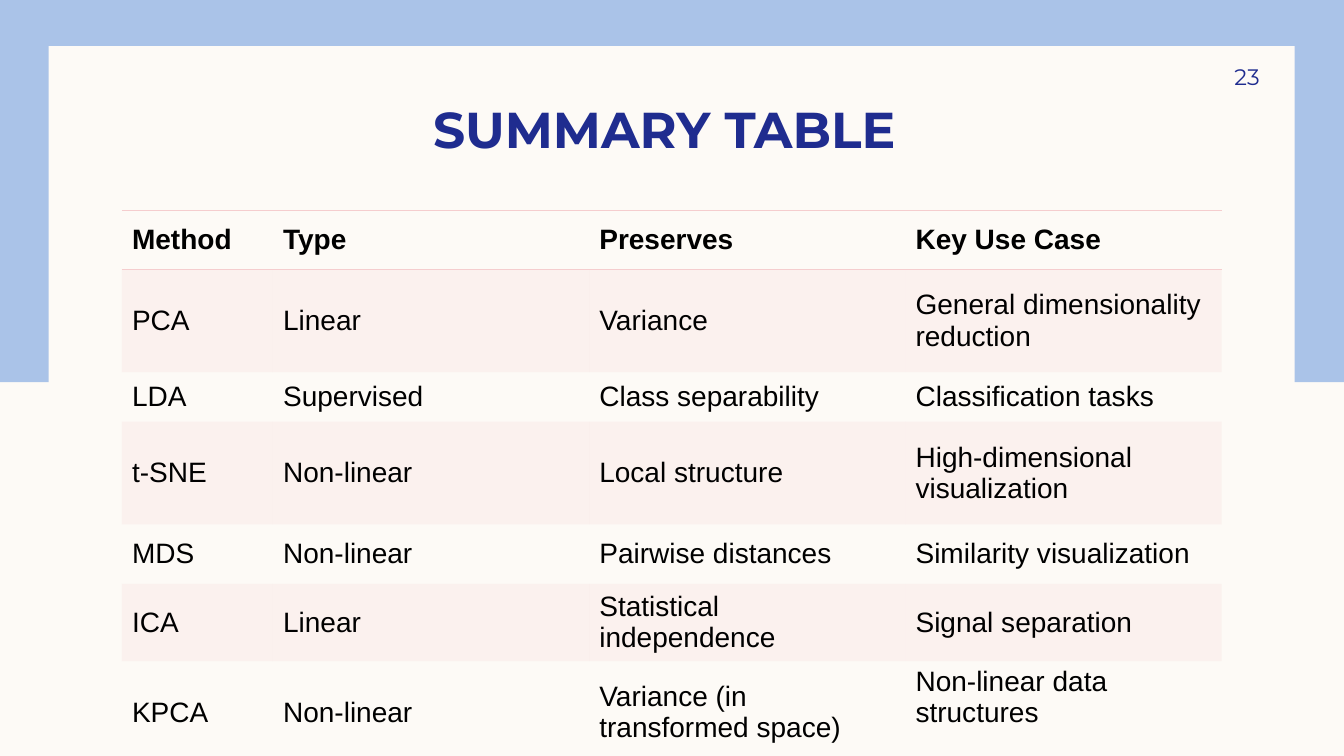
import pptx
import pptx.util
import pptx.dml.color
import pptx.enum.shapes
import pptx.enum.text
from lxml import etree
from pptx.oxml.ns import qn

Pt = pptx.util.Pt
Anchor = pptx.enum.text.MSO_ANCHOR
Align = pptx.enum.text.PP_ALIGN

# Content
TITLE = "SUMMARY TABLE"
PAGE_NUMBER = "23"
ROWS = [
    ("Method", "Type", "Preserves", "Key Use Case"),
    ("PCA", "Linear", "Variance", "General dimensionality reduction"),
    ("LDA", "Supervised", "Class separability", "Classification tasks"),
    ("t-SNE", "Non-linear", "Local structure", "High-dimensional visualization"),
    ("MDS", "Non-linear", "Pairwise distances", "Similarity visualization"),
    ("ICA", "Linear", "Statistical independence", "Signal separation"),
    ("KPCA", "Non-linear", "Variance (in transformed space)",
     "Non-linear data structures"),
]

# Theme
THEME = {
    "paper": "FDFAF6", "band": "AAC3E8", "navy": "1F2C8F",
    "rose": "F5CDCE", "ink": "000000", "tint": 20,
    "heading_font": "Montserrat", "body_font": "Arial",
    "title_size": 36, "number_size": 16, "table_size": 20,
}

# Layout, in points
SLIDE = (960, 540)
BAND = (-2, 0, 962, 273)
PANEL = (34.8, 33, 890, 474.5)
TITLE_BOX = (60.5, 33, 828, 80.5)
NUMBER_BOX = (815.8, 36, 84, 37.4)
TABLE_AT = (87.1, 150.3)
COLUMNS = [107.9] + [225.9] * 3
ROW_HEIGHTS = [42.2, 73.4, 35.3, 73.4, 42.5, 42.5, 73.4]


def rgb(name):
    return pptx.dml.color.RGBColor.from_string(THEME[name])


def points(box):
    return [Pt(v) for v in box]


def style(p, font, size, color, bold=False):
    p.font.name = THEME[font]
    p.font.size = Pt(THEME[size])
    p.font.color.rgb = rgb(color)
    p.font.bold = bold


def add_block(s, box, color):
    sp = s.shapes.add_shape(pptx.enum.shapes.MSO_SHAPE.RECTANGLE, *points(box))
    sp.shadow.inherit = False
    sp.fill.solid()
    sp.fill.fore_color.rgb = rgb(color)
    sp.line.fill.background()


def add_label(s, box, text, size, align, anchor, margins, bold=False):
    tf = s.shapes.add_textbox(*points(box)).text_frame
    tf.word_wrap = True
    tf.vertical_anchor = anchor
    tf.margin_left, tf.margin_top, tf.margin_right, tf.margin_bottom = points(margins)
    p = tf.paragraphs[0]
    p.text = text
    p.alignment = align
    style(p, "heading_font", size, "navy", bold)


def set_borders(cell, ruled):
    """Rule the named sides (T, B) and clear the rest."""
    tc_pr = cell._tc.get_or_add_tcPr()
    for i, side in enumerate("LRTB"):
        ln = etree.Element(qn(f"a:ln{side}"), w=str(Pt(1)))
        if side in ruled:
            fill = etree.SubElement(ln, qn("a:solidFill"))
            etree.SubElement(fill, qn("a:srgbClr"), val=THEME["rose"])
        else:
            etree.SubElement(ln, qn("a:noFill"))
        tc_pr.insert(i, ln)


def fill_cell(cell, banded):
    if not banded:
        cell.fill.background()
        return
    cell.fill.solid()
    cell.fill.fore_color.rgb = rgb("rose")
    color = cell._tc.tcPr.find(".//" + qn("a:srgbClr"))
    etree.SubElement(color, qn("a:alpha"), val=str(THEME["tint"] * 1000))


def add_summary(s):
    table = s.shapes.add_table(
        len(ROWS), len(COLUMNS), *points(TABLE_AT),
        Pt(sum(COLUMNS)), Pt(sum(ROW_HEIGHTS))).table
    table.first_row = table.horz_banding = False
    for column, width in zip(table.columns, COLUMNS):
        column.width = Pt(width)
    last = len(ROWS) - 1
    for r, (texts, height) in enumerate(zip(ROWS, ROW_HEIGHTS)):
        table.rows[r].height = Pt(height)
        ruled = {0: "TB", 1: "T", last: "B"}.get(r, "")
        for c, text in enumerate(texts):
            cell = table.cell(r, c)
            cell.text = text
            cell.vertical_anchor = Anchor.MIDDLE
            style(cell.text_frame.paragraphs[0], "body_font", "table_size",
                  "ink", bold=r == 0)
            fill_cell(cell, banded=r % 2 == 1)
            set_borders(cell, ruled)
    table.cell(last, len(COLUMNS) - 1).vertical_anchor = Anchor.TOP


def main():
    prs = pptx.Presentation()
    prs.slide_width, prs.slide_height = points(SLIDE)
    s = prs.slides.add_slide(prs.slide_layouts[6])

    # Backdrop
    s.background.fill.solid()
    s.background.fill.fore_color.rgb = rgb("paper")
    add_block(s, BAND, "band")
    add_block(s, PANEL, "paper")

    # Title, table and page number
    add_label(s, TITLE_BOX, TITLE, "title_size", Align.CENTER, Anchor.BOTTOM,
              (7.2, 0, 7.2, 0), bold=True)
    add_summary(s)
    add_label(s, NUMBER_BOX, PAGE_NUMBER, "number_size", Align.RIGHT,
              Anchor.MIDDLE, (7.2, 3.6, 0, 3.6))

    prs.save("out.pptx")


if __name__ == "__main__":
    main()
